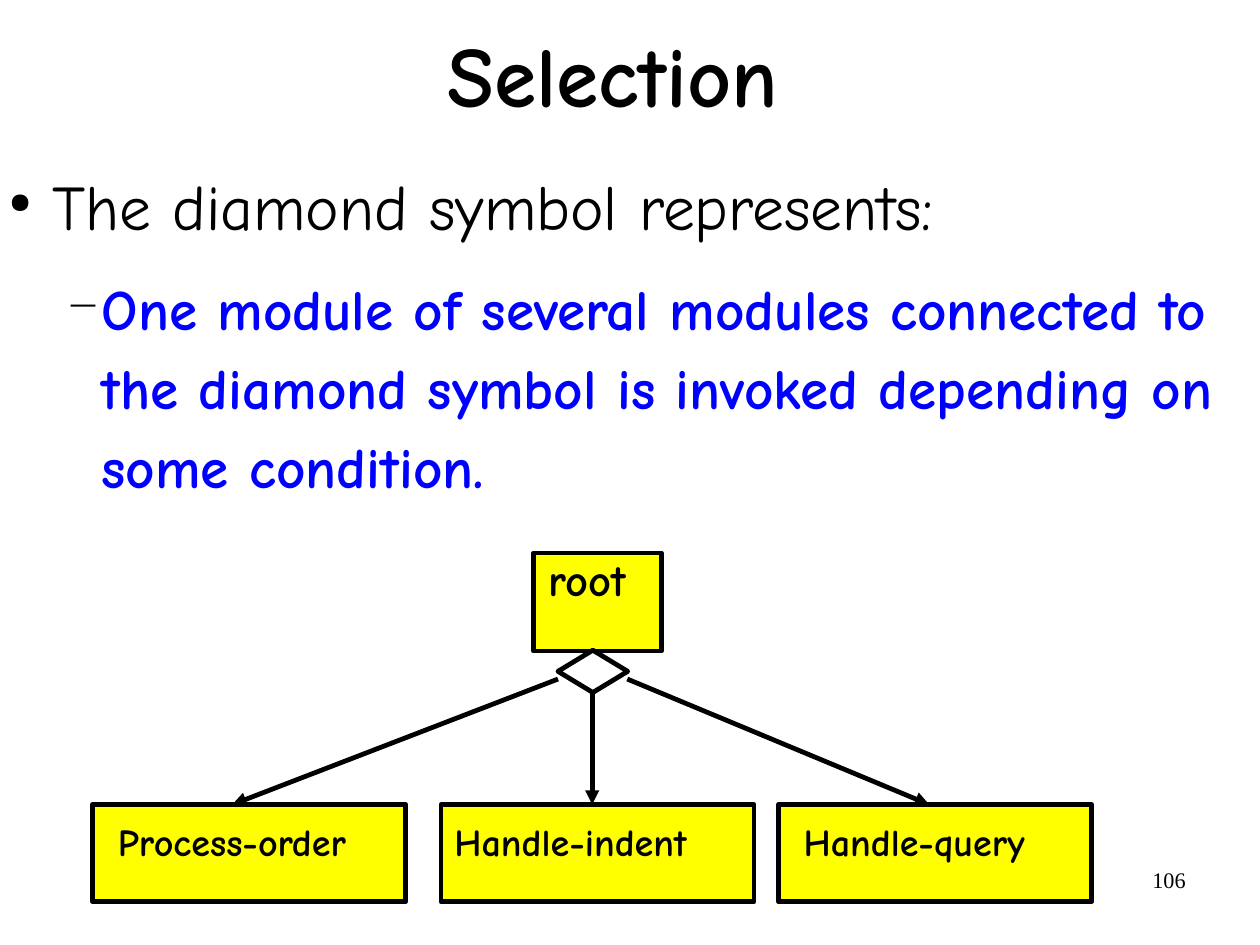
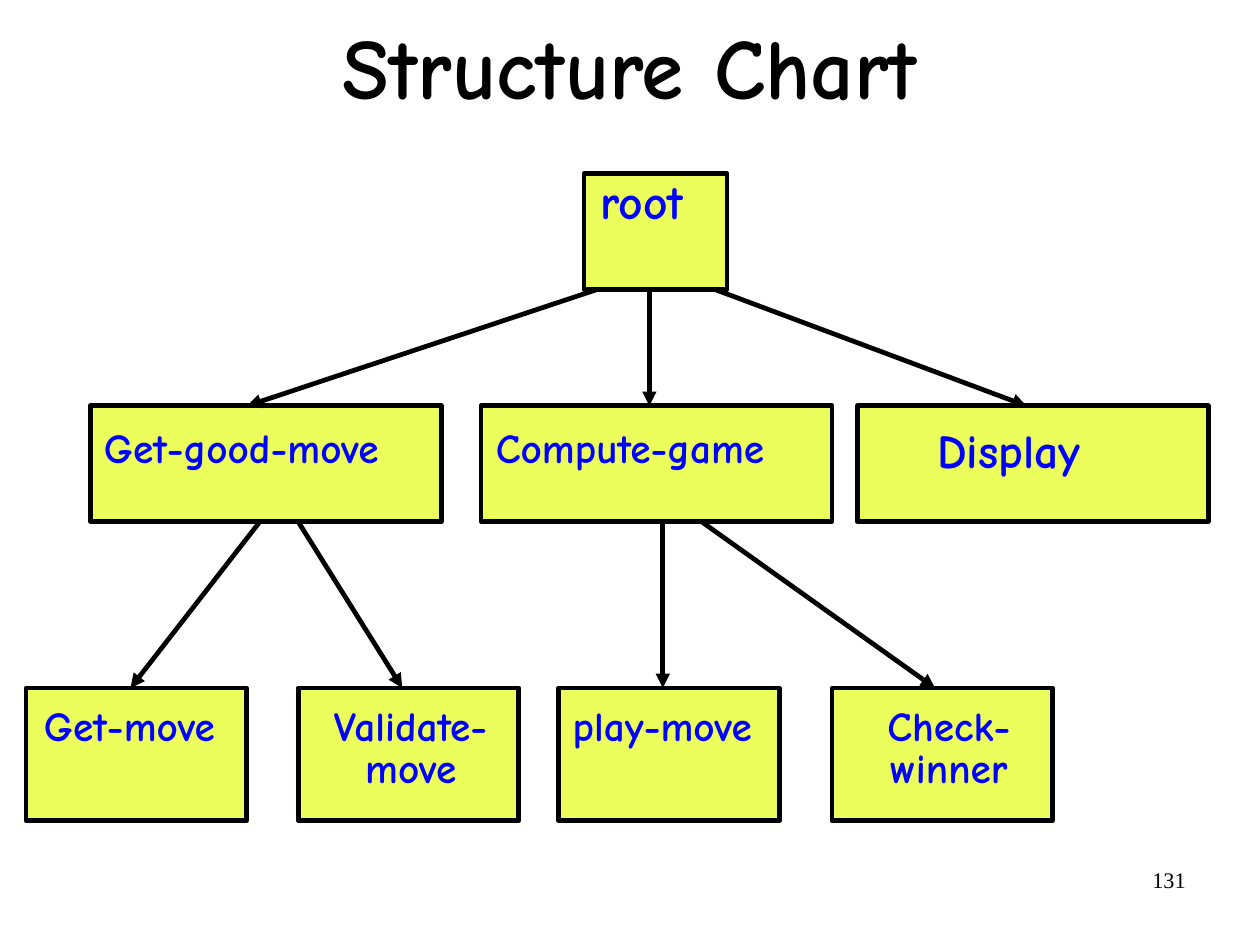
from lxml import etree
from pptx import Presentation
from pptx.dml.color import RGBColor
from pptx.enum.shapes import MSO_CONNECTOR, MSO_SHAPE
from pptx.enum.text import MSO_ANCHOR, PP_ALIGN
from pptx.oxml.ns import qn
from pptx.util import Cm, Pt

LEFT, CENTER, RIGHT = PP_ALIGN.LEFT, PP_ALIGN.CENTER, PP_ALIGN.RIGHT
TOP, MIDDLE = MSO_ANCHOR.TOP, MSO_ANCHOR.MIDDLE
RECTANGLE, DIAMOND = MSO_SHAPE.RECTANGLE, MSO_SHAPE.DIAMOND
STRAIGHT = MSO_CONNECTOR.STRAIGHT

BLACK = RGBColor(0x00, 0x00, 0x00)
BLUE = RGBColor(0x00, 0x00, 0xFF)
YELLOW = RGBColor(0xFF, 0xFF, 0x00)
LIME = RGBColor(0xEB, 0xFE, 0x5C)
HAND_FONT, NUMBER_FONT = "Comic Neue", "Times New Roman"
LINE_WIDTH = Pt(3)
SIDE, EDGE = 0.05, 0.15  # text insets in cm

# Content: all lengths are in cm
# Bullets: text, size, colour, bold, (symbol, percent), (margin, hanging), before, after
BULLETS = [
    ("The diamond symbol represents:", 40, BLACK, False,
     ("●", 45), (0.97, 0.97), 0, 7.5),
    ("One module of several modules connected to the diamond symbol "
     "is invoked depending on some condition.", 36, BLUE, True,
     ("−", 75), (2.06, 0.79), 5.5, 6.8),
]

# Rows: top, width, height, text inset from the top, alignment, modules
# Modules: label, left, size, text offset (from the left, or from the centre)
# Arrows: start y, end y, pairs of start x and end x
SLIDES = [
    {
        "title": "Selection", "title_box": (1.68, 0, 23.88, 3.48), "number": "106",
        "bullets": BULLETS, "fill": YELLOW, "color": BLACK,
        "rows": [
            (12.29, 2.84, 2.18, 0.15, LEFT, [("root", 11.86, 28, 0.33)]),
            (17.88, 6.96, 2.16, 0.46, LEFT, [
                ("Process-order", 2.06, 24, 0.56),
                ("Handle-indent", 9.8, 24, 0.3),
                ("Handle-query", 17.3, 24, 0.56)]),
        ],
        "arrows": [
            (15.09, 17.88, [(12.4, 5.16), (13.94, 20.65)]),
            (15.39, 17.88, [(13.16, 13.16)]),
        ],
        "diamond": (12.4, 14.45, 1.55, 0.94),
    },
    {
        "title": "Structure Chart", "title_box": (2.06, 0, 23.88, 3.12), "number": "131",
        "bullets": [], "fill": LIME, "color": BLUE,
        "rows": [
            (3.86, 3.18, 2.57, 0.15, LEFT, [("root", 12.98, 30, 0.36)]),
            (9.02, 7.8, 2.57, 0.53, LEFT, [
                ("Get-good-move", 2.01, 26, 0.3),
                ("Compute-game", 10.69, 26, 0.33),
                ("Display", 19.05, 30, 1.78)]),
            (15.29, 4.9, 2.95, 0.43, CENTER, [
                ("Get-move", 0.58, 26, -0.15),
                ("Validate-\vmove", 6.63, 26, 0.05),
                ("play-move", 12.42, 26, -0.15),
                ("Check-\vwinner", 18.49, 26, 0.15)]),
        ],
        "arrows": [
            (6.43, 9.02, [(13.28, 5.49), (14.43, 14.43), (15.88, 22.81)]),
            (11.6, 15.29, [(5.77, 2.9), (6.63, 8.94), (14.73, 14.73), (15.6, 20.78)]),
        ],
        "diamond": None,
    },
]


def set_frame(shape, insets, anchor=TOP):
    frame = shape.text_frame
    frame.word_wrap = True
    frame.vertical_anchor = anchor
    (frame.margin_left, frame.margin_top,
     frame.margin_right, frame.margin_bottom) = [Cm(inset) for inset in insets]
    return frame


def style(para, size, color, bold=True, name=HAND_FONT, align=LEFT, spacing=1.0):
    para.alignment = align
    para.line_spacing = spacing
    font = para.font
    font.name, font.size, font.bold = name, Pt(size), bold
    font.color.rgb = color


def add_text(page, box, text, insets, anchor=TOP, **look):
    shape = page.shapes.add_textbox(*[Cm(length) for length in box])
    para = set_frame(shape, insets, anchor).paragraphs[0]
    para.text = text
    style(para, **look)


def add_bullets(page, bullets):
    shape = page.shapes.add_textbox(Cm(0.15), Cm(3.3), Cm(27.3), Cm(9))
    frame = set_frame(shape, (SIDE, EDGE, SIDE, EDGE))
    for index, bullet in enumerate(bullets):
        text, size, color, bold, (symbol, percent), (margin, hanging), before, after = bullet
        para = frame.add_paragraph() if index else frame.paragraphs[0]
        para.text = text
        props = para._p.get_or_add_pPr()
        props.set("marL", str(Cm(margin)))
        props.set("indent", str(-Cm(hanging)))
        tint = etree.SubElement(props, qn("a:buClr"))
        etree.SubElement(tint, qn("a:srgbClr"), val=str(BLACK))
        etree.SubElement(props, qn("a:buSzPct"), val=str(percent * 1000))
        etree.SubElement(props, qn("a:buChar"), char=symbol)
        style(para, size, color, bold, spacing=1.15)
        if before:
            para.space_before = Pt(before)
        para.space_after = Pt(after)


def add_outlined(page, kind, box, fill=None):
    shape = page.shapes.add_shape(kind, *[Cm(length) for length in box])
    shape.shadow.inherit = False
    shape.line.color.rgb = BLACK
    shape.line.width = LINE_WIDTH
    if fill is None:
        shape.fill.background()
    else:
        shape.fill.solid()
        shape.fill.fore_color.rgb = fill
    return shape


def add_row(page, row, fill, color):
    top, width, height, text_top, align, modules = row
    for label, left, size, offset in modules:
        shape = add_outlined(page, RECTANGLE, (left, top, width, height), fill)
        if align == CENTER:
            sides = max(2 * offset, 0), max(-2 * offset, 0)
        else:
            sides = offset, 0
        para = set_frame(shape, (sides[0], text_top, sides[1], 0)).paragraphs[0]
        para.text = label
        style(para, size, color, align=align, spacing=0.85)


def add_arrow(page, *ends):
    arrow = page.shapes.add_connector(STRAIGHT, *[Cm(end) for end in ends])
    arrow.line.color.rgb = BLACK
    arrow.line.width = LINE_WIDTH
    etree.SubElement(arrow.line._get_or_add_ln(), qn("a:tailEnd"), type="triangle")
    etree.SubElement(arrow._element.spPr, qn("a:effectLst"))


def build_slide(deck, content):
    page = deck.slides.add_slide(deck.slide_layouts[6])
    # Page number and title
    add_text(page, (20.07, 19.13, 6.53, 1.45), content["number"], (0.25, 0.13, 0.25, 0.13),
             size=14, color=BLACK, bold=False, name=NUMBER_FONT, align=RIGHT)
    add_text(page, content["title_box"], content["title"], (SIDE, EDGE, SIDE, EDGE), MIDDLE,
             size=54, color=BLACK, align=CENTER, spacing=0.94)
    if content["bullets"]:
        add_bullets(page, content["bullets"])
    # Structure chart
    for row in content["rows"]:
        add_row(page, row, content["fill"], content["color"])
    for start_y, end_y, pairs in content["arrows"]:
        for start_x, end_x in pairs:
            add_arrow(page, start_x, start_y, end_x, end_y)
    if content["diamond"]:
        add_outlined(page, DIAMOND, content["diamond"])


def main():
    deck = Presentation()
    deck.slide_width, deck.slide_height = Cm(28), Cm(21)
    for content in SLIDES:
        build_slide(deck, content)
    deck.save("out.pptx")


if __name__ == "__main__":
    main()
